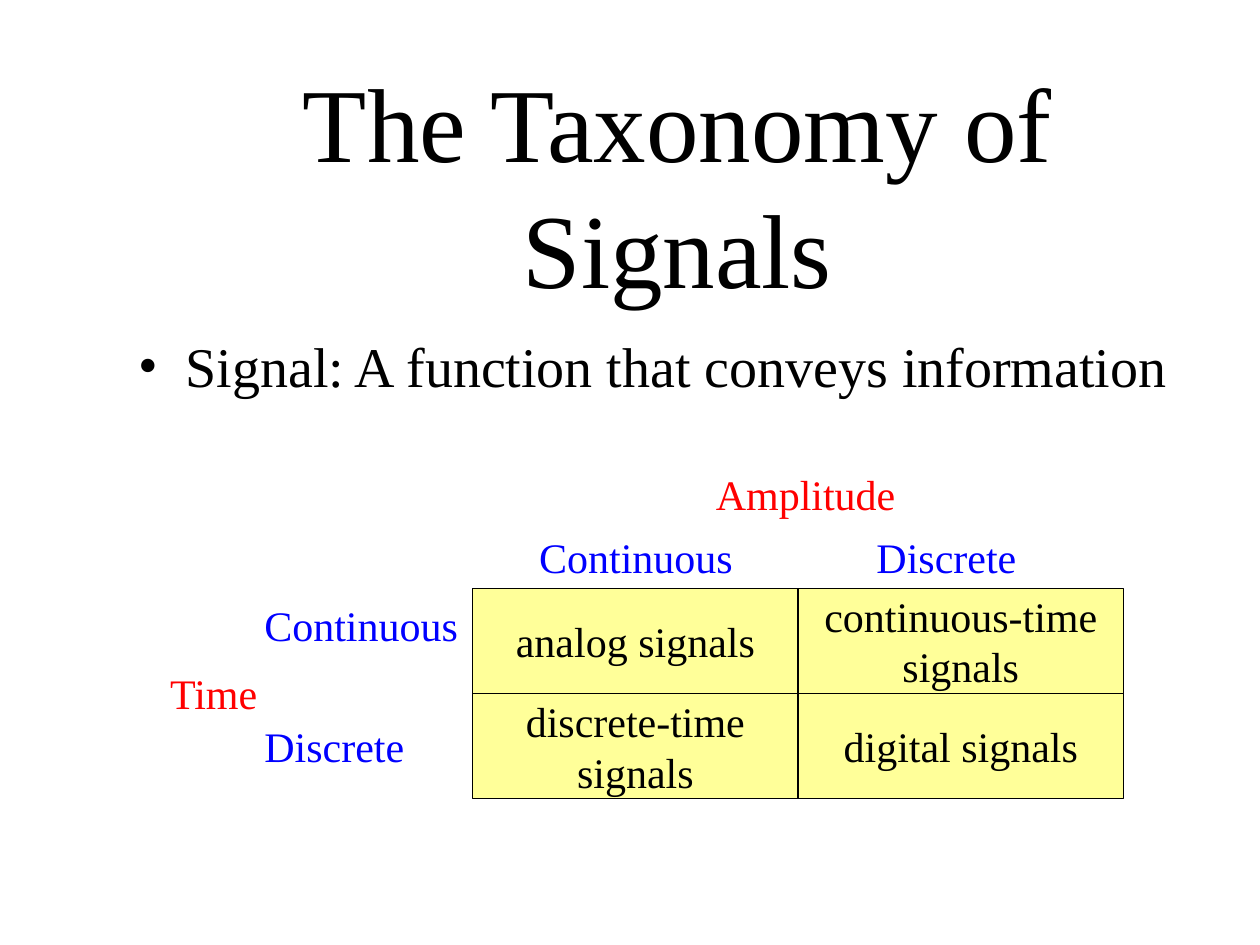
from dataclasses import dataclass

from lxml.etree import SubElement
from pptx import Presentation
from pptx.dml.color import RGBColor
from pptx.enum.shapes import MSO_SHAPE
from pptx.enum.text import MSO_ANCHOR, MSO_AUTO_SIZE, PP_ALIGN
from pptx.oxml.ns import qn
from pptx.util import Cm, Pt


@dataclass(frozen=True)
class Theme:
    font: str = "Times New Roman"
    title_size: int = 60
    body_size: int = 32
    label_size: int = 24
    ink: str = "000000"
    axis: str = "FF0000"
    level: str = "0000FF"
    cell: str = "FFFF99"


THEME = Theme()

TITLE = "The Taxonomy of Signals"
DEFINITION = "Signal: A function that conveys information"
SIGNAL_KINDS = [
    [["analog signals"], ["continuous-time", "signals"]],
    [["discrete-time", "signals"], ["digital signals"]],
]
# text, colour, left, top, width in cm
LABELS = [
    ("Time", THEME.axis, 3.18, 13.34, 2.35),
    ("Amplitude", THEME.axis, 14.18, 9.31, 4.25),
    ("Continuous", THEME.level, 5.08, 11.97, 4.5),
    ("Continuous", THEME.level, 10.62, 10.58, 4.5),
    ("Discrete", THEME.level, 5.08, 14.39, 3.4),
    ("Discrete", THEME.level, 17.42, 10.58, 3.4),
]

MARGIN, CONTENT_WIDTH = 2.54, 22.23
GRID_LEFT, GRID_TOP = 9.53, 11.86
CELL_WIDTH, CELL_HEIGHT = 6.56, 2.12
LABEL_HEIGHT = 1.27
BULLET_INDENT = 0.95


def place(left, top, width, height):
    return Cm(left), Cm(top), Cm(width), Cm(height)


def write(paragraph, text, size, color, align=PP_ALIGN.LEFT):
    paragraph.alignment = align
    run = paragraph.add_run()
    run.text = text
    run.font.name = THEME.font
    run.font.size = Pt(size)
    run.font.color.rgb = RGBColor.from_string(color)


def add_bullet(paragraph):
    properties = paragraph._p.get_or_add_pPr()
    properties.set("marL", str(Cm(BULLET_INDENT)))
    properties.set("indent", str(-Cm(BULLET_INDENT)))
    SubElement(properties, qn("a:buFont")).set("typeface", THEME.font)
    SubElement(properties, qn("a:buChar")).set("char", "•")


def add_title(slide):
    title = slide.shapes.title
    title.left, title.top, title.width, title.height = place(
        MARGIN, 2.1, CONTENT_WIDTH, 3.18)
    frame = title.text_frame
    frame.auto_size = MSO_AUTO_SIZE.NONE
    frame.vertical_anchor = MSO_ANCHOR.MIDDLE
    write(frame.paragraphs[0], TITLE, THEME.title_size, THEME.ink, PP_ALIGN.CENTER)


def add_definition(slide):
    box = slide.shapes.add_textbox(*place(MARGIN, 6.56, CONTENT_WIDTH, 1.91))
    box.text_frame.word_wrap = True
    paragraph = box.text_frame.paragraphs[0]
    add_bullet(paragraph)
    write(paragraph, DEFINITION, THEME.body_size, THEME.ink)


def add_cell(shapes, lines, row, column):
    cell = shapes.add_shape(MSO_SHAPE.RECTANGLE, *place(
        GRID_LEFT + column * CELL_WIDTH, GRID_TOP + row * CELL_HEIGHT,
        CELL_WIDTH, CELL_HEIGHT))
    cell.shadow.inherit = False
    cell.fill.solid()
    cell.fill.fore_color.rgb = RGBColor.from_string(THEME.cell)
    cell.line.color.rgb = RGBColor.from_string(THEME.ink)
    cell.line.width = Pt(0.75)
    frame = cell.text_frame
    frame.word_wrap = False
    frame.vertical_anchor = MSO_ANCHOR.MIDDLE
    for index, line in enumerate(lines):
        paragraph = frame.add_paragraph() if index else frame.paragraphs[0]
        write(paragraph, line, THEME.label_size, THEME.ink, PP_ALIGN.CENTER)


def add_label(shapes, text, color, left, top, width):
    label = shapes.add_textbox(*place(left, top, width, LABEL_HEIGHT))
    frame = label.text_frame
    frame.word_wrap = False
    frame.auto_size = MSO_AUTO_SIZE.NONE
    write(frame.paragraphs[0], text, THEME.label_size, color)


def main():
    presentation = Presentation()
    presentation.slide_width, presentation.slide_height = Cm(25.4), Cm(19.05)
    slide = presentation.slides.add_slide(presentation.slide_layouts[5])
    add_title(slide)
    add_definition(slide)

    taxonomy = slide.shapes.add_group_shape().shapes
    for row, kinds in enumerate(SIGNAL_KINDS):
        for column, lines in enumerate(kinds):
            add_cell(taxonomy, lines, row, column)
    for label in LABELS:
        add_label(taxonomy, *label)
    presentation.save("out.pptx")


if __name__ == "__main__":
    main()
